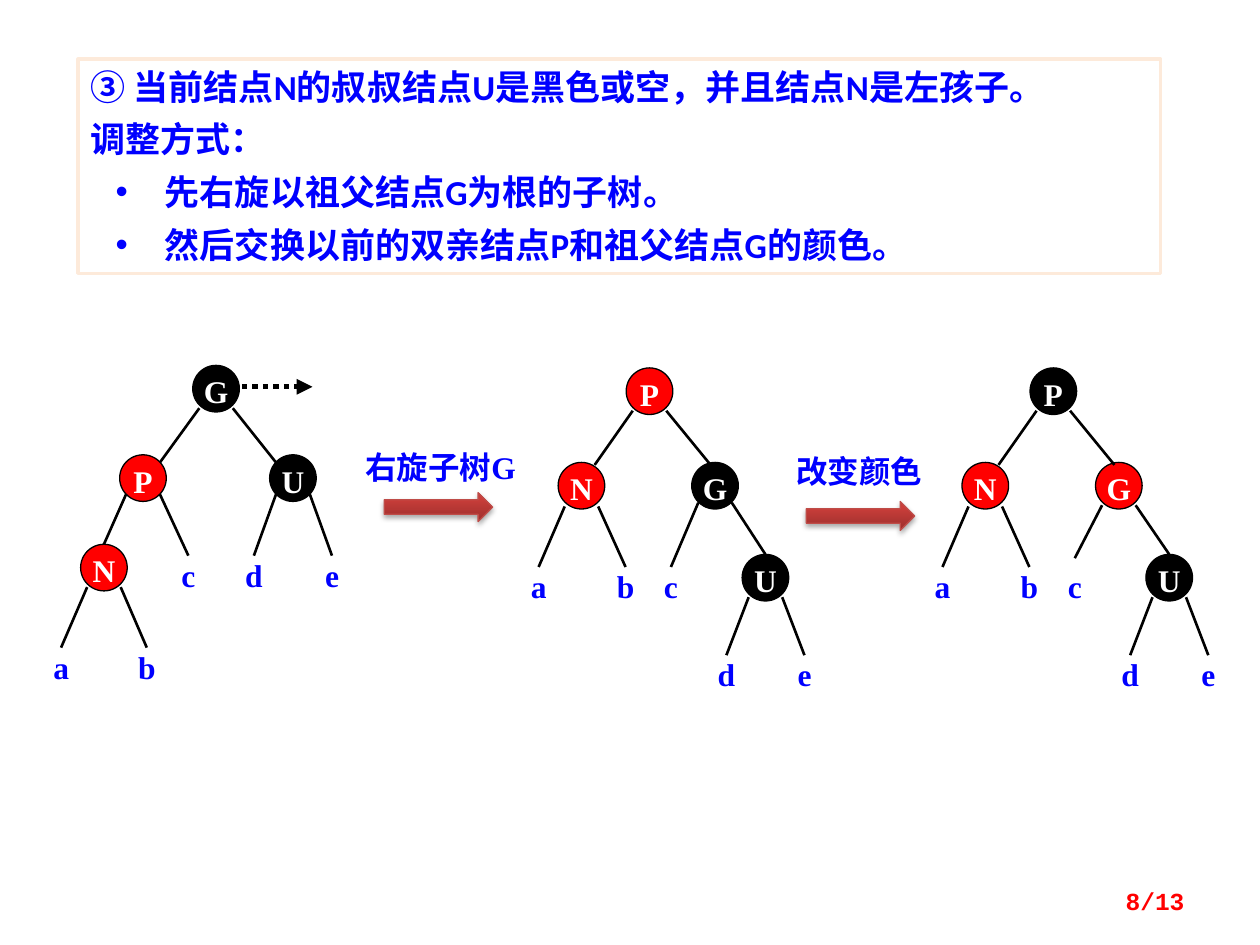
from dataclasses import dataclass, replace

from lxml.etree import SubElement
from pptx import Presentation
from pptx.dml.color import RGBColor
from pptx.enum.dml import MSO_LINE_DASH_STYLE as Dash
from pptx.enum.shapes import MSO_CONNECTOR_TYPE as Connector, MSO_SHAPE as Preset
from pptx.enum.text import MSO_ANCHOR as Anchor, PP_ALIGN as Align
from pptx.oxml import parse_xml
from pptx.oxml.ns import nsdecls, qn
from pptx.util import Inches, Pt


@dataclass(frozen=True)
class Theme:
    """Colours, fonts, sizes and the grid cell of the slide."""
    white: str = "FFFFFF"
    black: str = "000000"
    red: str = "FF0000"
    blue: str = "0000FF"
    frame: str = "FDEADA"
    arrow_line: str = "BF4C48"
    arrow_stops: tuple = ((0, "9C2F2D"), (80, "CB3E3A"), (100, "CE3B37"))
    body_font: str = "Calibri"
    tree_font: str = "Times New Roman"
    page_font: str = "Courier New"
    body_size: int = 20
    tree_size: int = 18
    page_size: int = 14
    cell: float = 0.1
    node_size: float = 3.7
    label_width: float = 1.9
    label_height: float = 2.7


THEME = Theme()


@dataclass(frozen=True)
class Node:
    """A tree node, placed in grid cells from the root's centre."""
    x: float
    y: float
    color: str
    drop: float = 1.55


@dataclass(frozen=True)
class Leaf:
    """A subtree letter hanging from one side of a node."""
    name: str
    parent: str
    side: int
    x: float
    y: float
    gap: float = 0


@dataclass(frozen=True)
class Link:
    """An edge between nodes, ending at an offset from the child's centre."""
    parent: str
    side: int
    child: str
    end_x: float = 0
    end_y: float = -THEME.node_size / 2


def cells(*values):
    """Turn grid cells into slide lengths."""
    return [Inches(value * THEME.cell) for value in values]


def rgb(color):
    """Turn a hex string into a colour."""
    return RGBColor.from_string(color)


def write(shape, *lines, font=THEME.tree_font, size=THEME.tree_size, color=THEME.blue,
          align=Align.LEFT, anchor=Anchor.TOP, inset=0, before=0, bullets_from=None):
    """Fill a shape with bold paragraphs, bulleted from a given line on."""
    frame = shape.text_frame
    frame.word_wrap = True
    frame.vertical_anchor = anchor
    if inset is not None:
        frame.margin_left = frame.margin_right = inset
        frame.margin_top = frame.margin_bottom = inset
    for index, line in enumerate(lines):
        paragraph = frame.paragraphs[0] if index == 0 else frame.add_paragraph()
        paragraph.alignment = align
        paragraph.space_before = Pt(before)
        run = paragraph.add_run()
        run.text = line
        run.font.name, run.font.size, run.font.bold = font, Pt(size), True
        run.font.color.rgb = rgb(color)
        if bullets_from is not None and index >= bullets_from:
            properties = paragraph._p.get_or_add_pPr()
            properties.set("marL", str(Inches(0.59)))
            properties.set("indent", str(Inches(-0.39)))
            SubElement(properties, qn("a:buFont"), typeface="Arial")
            SubElement(properties, qn("a:buChar"), char="•")


def add_box(slide, preset, box, fill, line, width):
    """Add a filled and outlined preset shape."""
    shape = slide.shapes.add_shape(preset, *cells(*box))
    shape.shadow.inherit = False
    shape.fill.solid()
    shape.fill.fore_color.rgb = rgb(fill)
    shape.line.color.rgb = rgb(line)
    shape.line.width = Pt(width)
    return shape


def add_text(slide, box, text, **style):
    """Add a text box."""
    write(slide.shapes.add_textbox(*cells(*box)), text, **style)


def add_line(slide, start, end, width=1.5):
    """Add a straight black line."""
    line = slide.shapes.add_connector(Connector.STRAIGHT, *cells(*start, *end))
    line.line.color.rgb = rgb(THEME.black)
    line.line.width = Pt(width)
    SubElement(line._element.spPr, qn("a:effectLst"))
    return line


def add_rotation_hint(slide, start, end):
    """Add the dotted arrow that shows the turn."""
    line = add_line(slide, start, end, width=3).line
    line.dash_style = Dash.ROUND_DOT
    dash = line._get_or_add_ln().find(qn("a:prstDash"))
    dash.set("val", "sysDot")
    SubElement(line._get_or_add_ln(), qn("a:tailEnd"), type="triangle")


def add_step(slide, text, label_box, arrow_at):
    """Add a captioned block arrow with a gradient and a soft shadow."""
    add_text(slide, label_box, text)
    arrow = add_box(slide, Preset.RIGHT_ARROW, (*arrow_at, 8.6, 2.3),
                    THEME.red, THEME.arrow_line, 0.75)
    stops = "".join(f'<a:gs pos="{share * 1000}"><a:srgbClr val="{color}"/></a:gs>'
                    for share, color in THEME.arrow_stops)
    properties = arrow._element.spPr
    properties.replace(properties.find(qn("a:solidFill")), parse_xml(
        f'<a:gradFill {nsdecls("a")} rotWithShape="1"><a:gsLst>{stops}</a:gsLst>'
        '<a:lin ang="16200000" scaled="0"/></a:gradFill>'))
    shadow = SubElement(properties.find(qn("a:effectLst")), qn("a:outerShdw"),
                        blurRad=str(Pt(3.1)), dist=str(Pt(1.8)), dir="5400000", rotWithShape="0")
    SubElement(SubElement(shadow, qn("a:srgbClr"), val=THEME.black), qn("a:alpha"), val="35000")


def add_tree(slide, root, nodes, links, leaves):
    """Draw one tree from its root's centre."""
    left, top = root
    size, width = THEME.node_size, THEME.label_width

    def branch(parent, side, x, y):
        node = nodes[parent]
        add_line(slide, (left + node.x + 1.33 * side, top + node.y + node.drop),
                 (left + x, top + y))

    for name, node in nodes.items():
        box = (left + node.x - size / 2, top + node.y - size / 2, size, size)
        circle = add_box(slide, Preset.OVAL, box, node.color, THEME.black, 0.75)
        write(circle, name, color=THEME.white, align=Align.CENTER)
    for link in links:
        child = nodes[link.child]
        branch(link.parent, link.side, child.x + link.end_x, child.y + link.end_y)
    for leaf in leaves:
        branch(leaf.parent, leaf.side, leaf.x, leaf.y - leaf.gap)
        add_text(slide, (left + leaf.x - width / 2, top + leaf.y, width, THEME.label_height),
                 leaf.name, align=Align.CENTER)


def main():
    """Build the slide and save it."""
    presentation = Presentation()
    presentation.slide_width, presentation.slide_height = cells(100, 75)
    slide = presentation.slides.add_slide(presentation.slide_layouts[6])
    red, black = THEME.red, THEME.black

    rule = add_box(slide, Preset.RECTANGLE, (6.2, 4.7, 85.9, 17), THEME.white, THEME.frame, 2)
    write(rule, "③ 当前结点N的叔叔结点U是黑色或空，并且结点N是左孩子。", "调整方式：",
          "先右旋以祖父结点G为根的子树。", "然后交换以前的双亲结点P和祖父结点G的颜色。",
          font=THEME.body_font, size=THEME.body_size, inset=None, before=6, bullets_from=2)

    before = {"G": Node(0, 0, black), "P": Node(-5.8, 7.1, red, 1.25),
              "N": Node(-8.9, 14.2, red), "U": Node(6.1, 7.1, black, 1.25)}
    add_tree(slide, (17.15, 30.85), before,
             [Link("G", -1, "P", 1.35, -1.25), Link("G", 1, "U", -1.35, -1.25),
              Link("P", -1, "N")],
             [Leaf("a", "N", -1, -12.3, 20.55), Leaf("b", "N", 1, -5.5, 20.55),
              Leaf("c", "P", 1, -2.2, 13.25), Leaf("d", "U", -1, 3, 13.25),
              Leaf("e", "U", 1, 9.2, 13.25)])
    add_rotation_hint(slide, (19.2, 30.7), (24.8, 30.7))

    rotated = {"P": Node(0, 0, red), "N": Node(-5.4, 7.5, red, 1.65),
               "G": Node(5.2, 7.5, black, 1.35), "U": Node(9.2, 14.8, black)}
    links = [Link("P", -1, "N", 1.05, -1.65), Link("P", 1, "G", -0.35, -1.65),
             Link("G", 1, "U")]
    outer = [Leaf("a", "N", -1, -8.8, 13.95), Leaf("b", "N", 1, -1.9, 13.95),
             Leaf("d", "U", -1, 6.1, 20.95), Leaf("e", "U", 1, 12.3, 20.95)]
    inner = Leaf("c", "G", -1, 1.7, 13.95)
    add_tree(slide, (51.55, 31.05), rotated, links, [*outer, inner])

    recolored = rotated | {"P": replace(rotated["P"], color=black),
                           "G": replace(rotated["G"], color=red, drop=1.55)}
    add_tree(slide, (83.6, 31.05), recolored, links, [*outer, replace(inner, gap=0.7)])

    add_step(slide, "右旋子树G", (29, 35.6, 13.2, 2.7), (30.5, 39.1))
    add_step(slide, "改变颜色", (63.2, 35.9, 11.8, 2.7), (64, 39.8))
    add_text(slide, (71.7, 69.5, 23.3, 4), "8/13", font=THEME.page_font, size=THEME.page_size,
             color=red, align=Align.RIGHT, anchor=Anchor.MIDDLE, inset=None)
    presentation.save("out.pptx")


if __name__ == "__main__":
    main()
